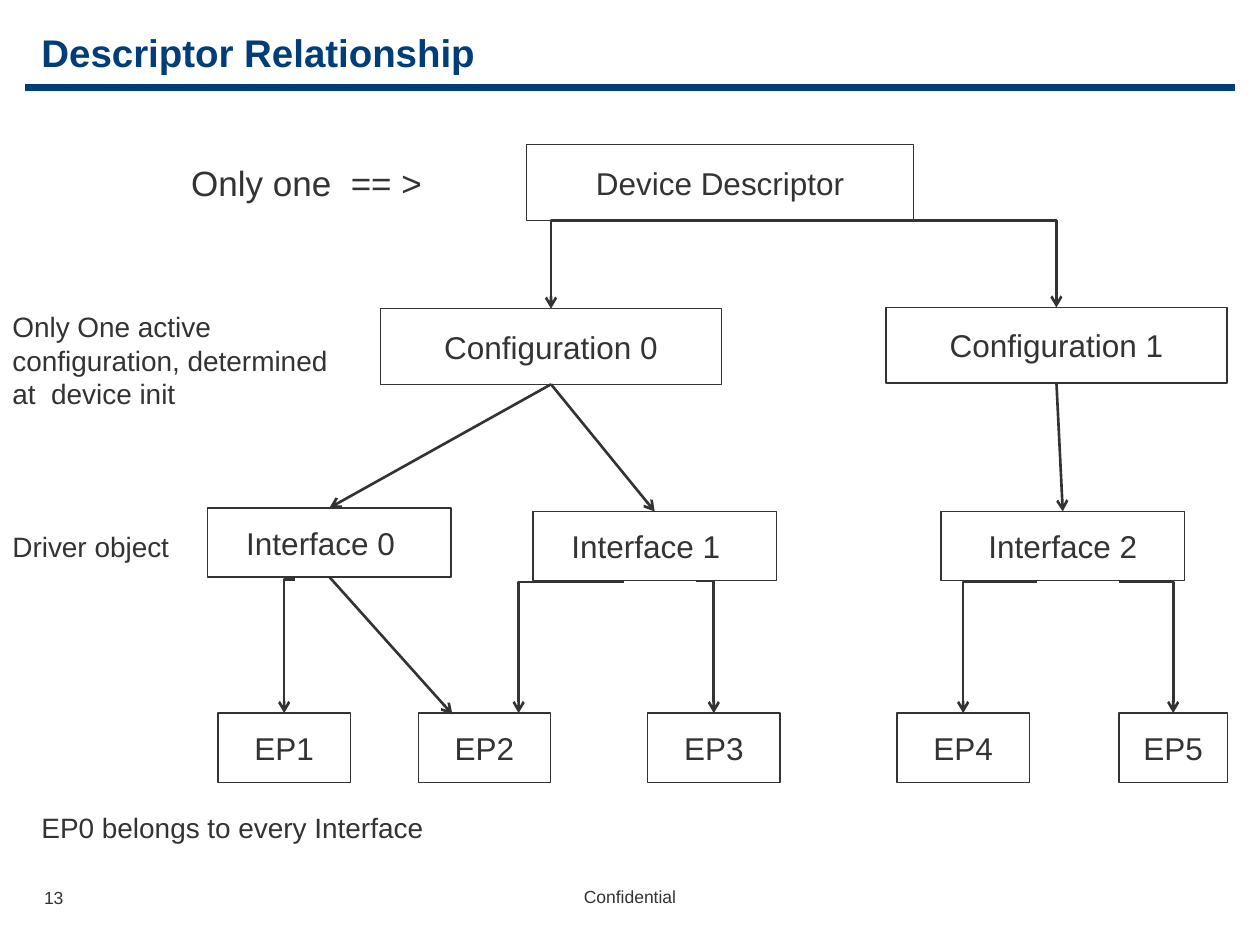
from typing import NamedTuple

from lxml import etree
from pptx import Presentation
from pptx.dml.color import RGBColor
from pptx.enum.shapes import MSO_CONNECTOR, MSO_SHAPE
from pptx.enum.text import MSO_ANCHOR, PP_ALIGN
from pptx.oxml.ns import qn
from pptx.util import Pt

RECT = MSO_SHAPE.RECTANGLE
STRAIGHT, ELBOW = MSO_CONNECTOR.STRAIGHT, MSO_CONNECTOR.ELBOW
LEFT, CENTER = PP_ALIGN.LEFT, PP_ALIGN.CENTER
TOP, MIDDLE = MSO_ANCHOR.TOP, MSO_ANCHOR.MIDDLE
INK = RGBColor(0x33, 0x33, 0x33)
NAVY = RGBColor(0x00, 0x3D, 0x79)
FONT = "Arial"
SIDE_TOP, SIDE_BOTTOM = 0, 2


class Box(NamedTuple):
    text: str
    x: float
    y: float
    w: float
    h: float
    pad: float = 7.2  # right inset

    @property
    def mid(self) -> float:
        return self.x + self.w / 2


class Note(NamedTuple):
    text: str
    x: float
    y: float
    w: float
    h: float
    size: float


class Bend(NamedTuple):
    x: float
    y: float
    to: Box
    dx: float = 0  # end offset from the middle of the target's top


# Tree levels, top to bottom
DEVICE = Box("Device Descriptor", 301, 82.8, 221, 43.2)
CONF0 = Box("Configuration 0", 217.4, 176.4, 195, 43.2)
CONF1 = Box("Configuration 1", 506.2, 175.7, 195, 43.2)
FACE0 = Box("Interface 0", 118.8, 290.2, 139, 39.6, 17.2)
FACE1 = Box("Interface 1", 304.6, 292.3, 139, 39.6, 17.2)
FACE2 = Box("Interface 2", 537.8, 292.3, 139, 39.6)
EPS = [Box(f"EP{n}", x, 407.5, w, 39.6) for n, (x, w) in enumerate(
    [(124.6, 75.6), (239, 75.6), (370.1, 75.6), (512.6, 75.6), (639.4, 62)], 1)]
EP1, EP2, EP3, EP4, EP5 = EPS
BOXES = [DEVICE, CONF0, CONF1, FACE0, FACE1, FACE2, *EPS]

JOINS = [(CONF0, FACE0), (CONF0, FACE1), (CONF1, FACE2)]
BENDS = [
    Bend(DEVICE.mid, 126, CONF0),
    Bend(DEVICE.mid, 126, CONF1),
    Bend(168.5, 331.2, EP1),
    Bend(356.4, 332.6, EP2, 19.6),
    Bend(397.6, 331.9, EP3),
    Bend(592.6, 332.6, EP4),
    Bend(639.4, 332.6, EP5),
]
NOTES = [
    Note("Only one  == >", 102.2, 88.6, 165.6, 31, 20),
    Note("Only One active configuration, determined at  device init",
         0, 173.5, 209.5, 64.8, 16),
    Note("Driver object", 0, 298.8, 104.4, 26.6, 16),
    Note("EP0 belongs to every Interface", 16.6, 459.4, 251.3, 26.6, 16),
]


def write(shape, text: str, *, size: float, color=INK, bold=False, align=LEFT,
          anchor=TOP, pads=(7.2, 3.6, 7.2, 3.6), after=0.0) -> None:
    frame = shape.text_frame
    frame.word_wrap = True
    frame.vertical_anchor = anchor
    (frame.margin_left, frame.margin_top,
     frame.margin_right, frame.margin_bottom) = map(Pt, pads)
    para = frame.paragraphs[0]
    para.alignment = align
    para.space_after = Pt(after)
    run = para.add_run()
    run.text = text
    font = run.font
    font.name, font.size, font.bold = FONT, Pt(size), bold
    font.color.rgb = color


def label(slide, text: str, x: float, y: float, w: float, h: float, **style) -> None:
    write(slide.shapes.add_textbox(Pt(x), Pt(y), Pt(w), Pt(h)), text, **style)


def draw_box(slide, box: Box):
    shape = slide.shapes.add_shape(RECT, Pt(box.x), Pt(box.y), Pt(box.w), Pt(box.h))
    shape.shadow.inherit = False
    shape.fill.background()
    shape.line.color.rgb = INK
    shape.line.width = Pt(0.75)
    write(shape, box.text, size=18, align=CENTER, anchor=MIDDLE,
          pads=(7.2, 3.6, box.pad, 3.6), after=7.2)
    return shape


def draw_line(slide, x1: float, y1: float, x2: float, y2: float, *, kind=STRAIGHT,
              color=INK, width=1.5, arrow=True):
    line = slide.shapes.add_connector(kind, Pt(x1), Pt(y1), Pt(x2), Pt(y2))
    line.line.color.rgb = color
    line.line.width = Pt(width)
    props = line._element.spPr
    if arrow:
        etree.SubElement(line.line._get_or_add_ln(), qn("a:tailEnd"), type="arrow")
    if kind == ELBOW:  # a single corner: across, then down
        props.find(qn("a:prstGeom")).set("prst", "bentConnector2")
    etree.SubElement(props, qn("a:effectLst"))
    return line


def main() -> None:
    deck = Presentation()
    deck.slide_width, deck.slide_height = Pt(720), Pt(540)
    slide = deck.slides.add_slide(deck.slide_layouts[6])

    # Title, rule and footer
    draw_line(slide, 14.4, 50, 705.6, 50, color=NAVY, width=4.11, arrow=False)
    label(slide, "Descriptor Relationship", 16.6, 13, 692.6, 26,
          size=22, color=NAVY, bold=True)
    label(slide, "13", 25.2, 506.9, 36, 18, size=10, pads=(0, 0, 0, 0))
    label(slide, "Confidential", 234, 498.2, 252, 28.8,
          size=10, align=CENTER, anchor=MIDDLE)

    # Boxes
    shapes = {box: draw_box(slide, box) for box in BOXES}

    # Straight arrows
    for top, low in JOINS:
        line = draw_line(slide, top.mid, top.y + top.h, low.mid, low.y)
        line.begin_connect(shapes[top], SIDE_BOTTOM)
        line.end_connect(shapes[low], SIDE_TOP)
    line = draw_line(slide, FACE0.mid, FACE0.y + FACE0.h, 258.5, 408.2)
    line.begin_connect(shapes[FACE0], SIDE_BOTTOM)

    # Bent arrows
    for bend in BENDS:
        draw_line(slide, bend.x, bend.y, bend.to.mid + bend.dx, bend.to.y, kind=ELBOW)

    # Side notes
    for note in NOTES:
        label(slide, note.text, note.x, note.y, note.w, note.h, size=note.size)

    deck.save("out.pptx")


if __name__ == "__main__":
    main()
